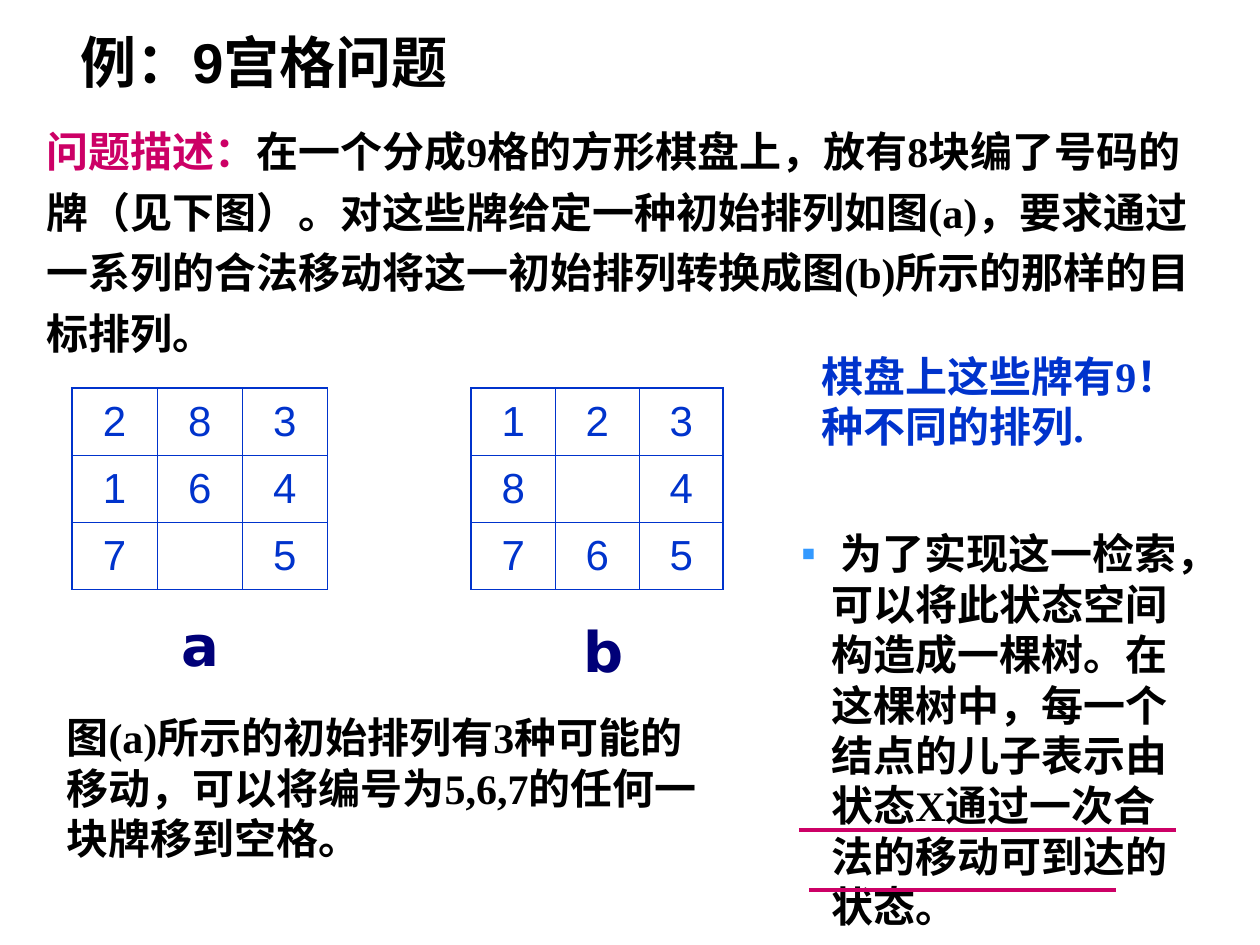
from lxml import etree
from pptx import Presentation
from pptx.dml.color import RGBColor
from pptx.enum import shapes, text
from pptx.oxml import ns
from pptx.util import Inches, Pt

BLACK = RGBColor(0x00, 0x00, 0x00)
WHITE = RGBColor(0xFF, 0xFF, 0xFF)
BLUE = RGBColor(0x00, 0x33, 0xCC)
NAVY = RGBColor(0x00, 0x00, 0x78)
PINK = RGBColor(0xCC, 0x00, 0x66)
SKY = RGBColor(0x33, 0x99, 0xFF)
SERIF = "Times New Roman"
START = ["283", "164", "7 5"]
GOAL = ["123", "8 4", "765"]


def sub(node, tag, **attrs):
    """Add a drawing element under a node."""
    return etree.SubElement(node, ns.qn(tag), attrs)


def style(font, size, name, color, bold):
    """Set the look of a font."""
    font.size, font.name, font.bold = Pt(size), name, bold
    font.color.rgb = color


def write(slide, box, *runs, size=24, name=SERIF, color=BLACK, align=None,
          anchor=text.MSO_ANCHOR.TOP, wrap=True, space=None, bullet=None):
    """Place a text box; each run is a string or a (string, colour) pair."""
    frame = slide.shapes.add_textbox(*map(Inches, box)).text_frame
    frame.word_wrap, frame.vertical_anchor = wrap, anchor
    para = frame.paragraphs[0]
    para.alignment, para.line_spacing = align, space
    if bullet:
        props = para._p.get_or_add_pPr()
        props.set("marL", str(Inches(0.24)))
        props.set("indent", str(-Inches(0.24)))
        sub(sub(props, "a:buClr"), "a:srgbClr", val=str(SKY))
        sub(props, "a:buFont", typeface="Arial")
        sub(props, "a:buChar", char=bullet)
    for item in runs:
        words, tint = (item, color) if isinstance(item, str) else item
        run = para.add_run()
        run.text = words
        style(run.font, size, name, tint, True)


def edge(cell, side, width):
    """Draw one border of a cell."""
    line = sub(cell._tc.get_or_add_tcPr(), f"a:{side}", w=str(Pt(width)))
    sub(sub(line, "a:solidFill"), "a:srgbClr", val=str(BLUE))


def board(slide, box, rows, fill=None):
    """Draw a puzzle board with a thick rim and thin inner lines."""
    count = len(rows)
    table = slide.shapes.add_table(count, count, *map(Inches, box)).table
    table.first_row = table.horz_banding = False
    for r, row in enumerate(rows):
        for c, digit in enumerate(row):
            cell = table.cell(r, c)
            rims = {"lnL": c == 0, "lnR": c == count - 1,
                    "lnT": r == 0, "lnB": r == count - 1}
            for side, rim in rims.items():
                edge(cell, side, 1.08 if rim else 0.45)
            if fill is None:
                cell.fill.background()
            else:
                cell.fill.solid()
                cell.fill.fore_color.rgb = fill
            cell.vertical_anchor = text.MSO_ANCHOR.MIDDLE
            para = cell.text_frame.paragraphs[0]
            para.alignment = text.PP_ALIGN.CENTER
            if digit.strip():
                run = para.add_run()
                run.text = digit
                style(run.font, 24, "Arial", BLUE, False)


def rule(slide, left, right, top):
    """Draw a pink underline."""
    line = slide.shapes.add_connector(
        shapes.MSO_CONNECTOR.STRAIGHT, *map(Inches, (left, top, right, top)))
    line.line.color.rgb, line.line.width = PINK, Pt(2.25)
    sub(line._element.spPr, "a:effectLst")


def intro(slide, left, top):
    """Place the title and the problem statement."""
    write(slide, (left, top, 3.65, 0.55), "例：9宫格问题", size=32,
          name="Arial", align=text.PP_ALIGN.CENTER,
          anchor=text.MSO_ANCHOR.MIDDLE, wrap=False)
    write(slide, (left, top + 0.66, 9.37, 2.02), ("问题描述：", PINK),
          "在一个分成9格的方形棋盘上，放有8块编了号码的牌（见下图）。"
          "对这些牌给定一种初始排列如图(a)，要求通过一系列的合法移动"
          "将这一初始排列转换成图(b)所示的那样的目标排列。", space=1.2)


def boards(slide, left, top):
    """Place both boards, their letters and the note below."""
    board(slide, (left, top, 2.03, 1.6), START, WHITE)
    board(slide, (left + 3.17, top, 2, 1.6), GOAL)
    for letter, x, y in (("a", 0.77, 1.72), ("b", 3.96, 1.76)):
        write(slide, (left + x, top + y, 0.48, 0.64), letter, size=32,
              name="DejaVu Sans", color=NAVY, wrap=False)
    write(slide, (left - 0.14, top + 2.52, 5.36, 1.3),
          "图(a)所示的初始排列有3种可能的移动，"
          "可以将编号为5,6,7的任何一块牌移到空格。")


def side(slide, left, top):
    """Place the right column with its underlines."""
    write(slide, (left + 0.16, top, 3.19, 0.9),
          "棋盘上这些牌有9！种不同的排列.", color=BLUE)
    write(slide, (left, top + 1.41, 3.31, 2.9),
          " 为了实现这一检索，可以将此状态空间构造成一棵树。在这棵树中，"
          "每一个结点的儿子表示由状态X通过一次合法的移动可到达的状态。",
          bullet="▪")
    rule(slide, left + 0.08, left + 3.07, top + 3.86)
    rule(slide, left + 0.16, left + 2.6, top + 4.33)


def main():
    """Build the slide and save it."""
    deck = Presentation()
    deck.slide_width, deck.slide_height = Inches(10), Inches(7.5)
    slide = deck.slides.add_slide(deck.slide_layouts[6])
    intro(slide, 0.27, 0.21)
    boards(slide, 0.57, 3.08)
    side(slide, 6.26, 2.73)
    deck.save("out.pptx")


if __name__ == "__main__":
    main()
